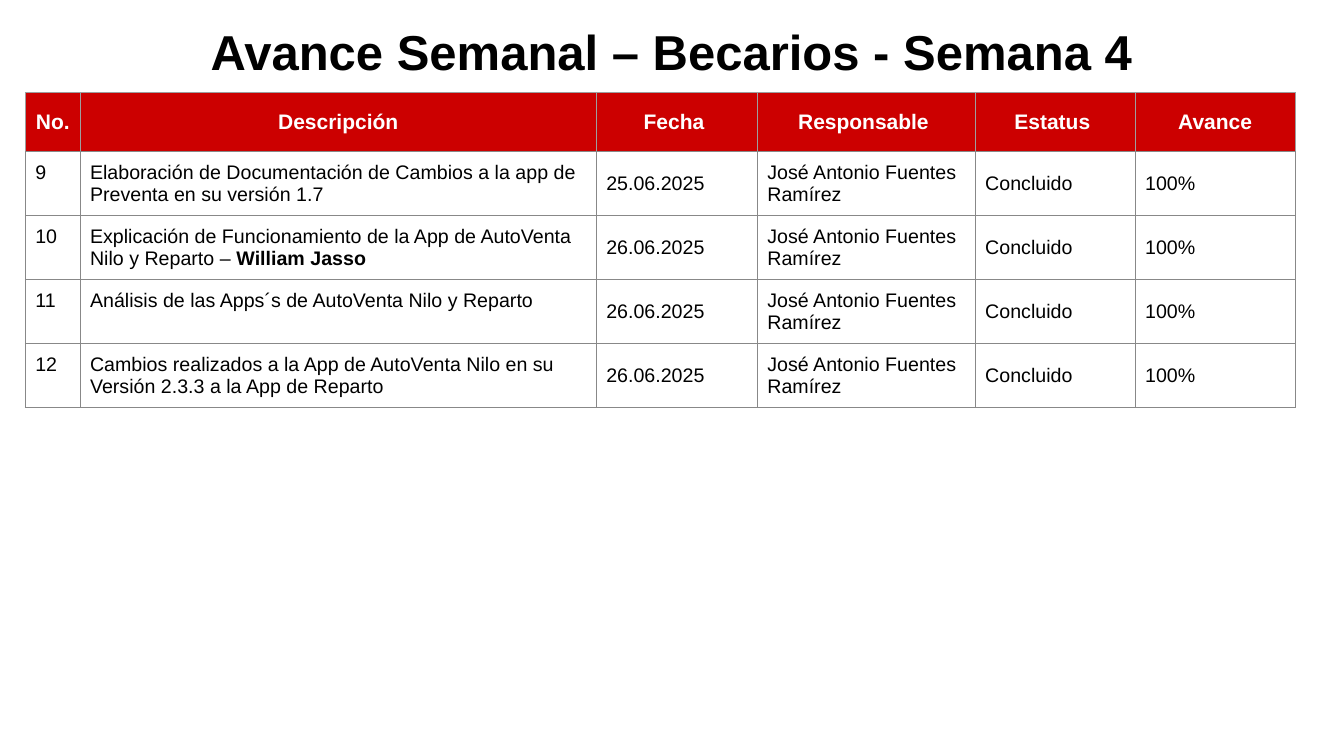
from lxml.etree import SubElement
from pptx import Presentation
from pptx.dml.color import RGBColor
from pptx.enum.text import MSO_ANCHOR as Anchor, PP_ALIGN as Align
from pptx.oxml.ns import qn
from pptx.util import Cm, Pt

RED, WHITE, BLACK = "CC0000", "FFFFFF", "000000"
GREY, LIGHT_GREY = "888888", "9E9E9E"
RESPONSIBLE = "José Antonio Fuentes Ramírez"
HEADINGS = ["No.", "Descripción", "Fecha ", "Responsable ", "Estatus ", "Avance"]
COLUMN_WIDTHS = [1.38, 13.01, 4.06, 5.49, 4.03, 4.03]
ROW_HEIGHTS = [1.48, 1.27, 1.27, 1.12, 1.12]
TASKS = [
    ("9", "Elaboración de Documentación de Cambios a la app de Preventa en su versión 1.7", "", "25.06.2025"),
    ("10", "Explicación de Funcionamiento de la App de AutoVenta Nilo y Reparto – ", "William Jasso", "26.06.2025"),
    ("11", "Análisis de las Apps´s de AutoVenta Nilo y Reparto", "", "26.06.2025"),
    ("12", "Cambios realizados a la App de AutoVenta Nilo en su Versión 2.3.3 a la App de Reparto", "", "26.06.2025"),
]


def rgb(color):
    return RGBColor.from_string(color)


def add_text(paragraph, text, size=14, color=BLACK, bold=False, align=Align.LEFT):
    paragraph.alignment = align
    run = paragraph.add_run()
    run.text = text
    run.font.name = "Arial"
    run.font.size = Pt(size)
    run.font.bold = bold
    run.font.color.rgb = rgb(color)


def add_border(cell, side, color):
    line = SubElement(cell._tc.get_or_add_tcPr(), qn(f"a:ln{side}"), w=str(Pt(0.75)))
    SubElement(SubElement(line, qn("a:solidFill")), qn("a:srgbClr"), val=color)


def format_cell(cell, fill, anchor, border):
    for side in "LRT":
        add_border(cell, side, border)
    add_border(cell, "B", GREY)
    cell.fill.solid()
    cell.fill.fore_color.rgb = rgb(fill)
    cell.vertical_anchor = anchor
    cell.margin_left = cell.margin_right = Cm(0.25)
    cell.margin_top = cell.margin_bottom = Cm(0.25)


def add_title(slide, text):
    title = slide.shapes.title
    title.left, title.top, title.width, title.height = Cm(0), Cm(0), Cm(33.87), Cm(2.74)
    title.text_frame.vertical_anchor = Anchor.MIDDLE
    paragraph = title.text_frame.paragraphs[0]
    paragraph.line_spacing = 0.9
    add_text(paragraph, text, size=35, bold=True, align=Align.CENTER)


def add_progress_table(slide):
    frame = slide.shapes.add_table(
        len(ROW_HEIGHTS), len(COLUMN_WIDTHS), Cm(0.64), Cm(2.34),
        Cm(sum(COLUMN_WIDTHS)), Cm(sum(ROW_HEIGHTS)))
    table = frame.table
    table.horz_banding = False
    for column, width in zip(table.columns, COLUMN_WIDTHS):
        column.width = Cm(width)
    for row, height in zip(table.rows, ROW_HEIGHTS):
        row.height = Cm(height)
    for index, heading in enumerate(HEADINGS):
        cell = table.cell(0, index)
        format_cell(cell, RED, Anchor.MIDDLE, LIGHT_GREY)
        add_text(cell.text_frame.paragraphs[0], heading, size=15,
                 color=WHITE, bold=True, align=Align.CENTER)
    for row_index, (number, description, person, date) in enumerate(TASKS, 1):
        values = [number, description, date, RESPONSIBLE, "Concluido", "100%"]
        for index, value in enumerate(values):
            cell = table.cell(row_index, index)
            format_cell(cell, WHITE, Anchor.TOP if index < 2 else Anchor.MIDDLE, GREY)
            add_text(cell.text_frame.paragraphs[0], value)
        if person:
            add_text(table.cell(row_index, 1).text_frame.paragraphs[0], person, bold=True)


def main():
    presentation = Presentation()
    presentation.slide_width, presentation.slide_height = Cm(33.87), Cm(19.05)
    slide = presentation.slides.add_slide(presentation.slide_layouts[5])
    add_title(slide, "Avance Semanal – Becarios - Semana 4")
    add_progress_table(slide)
    presentation.save("out.pptx")


if __name__ == "__main__":
    main()
